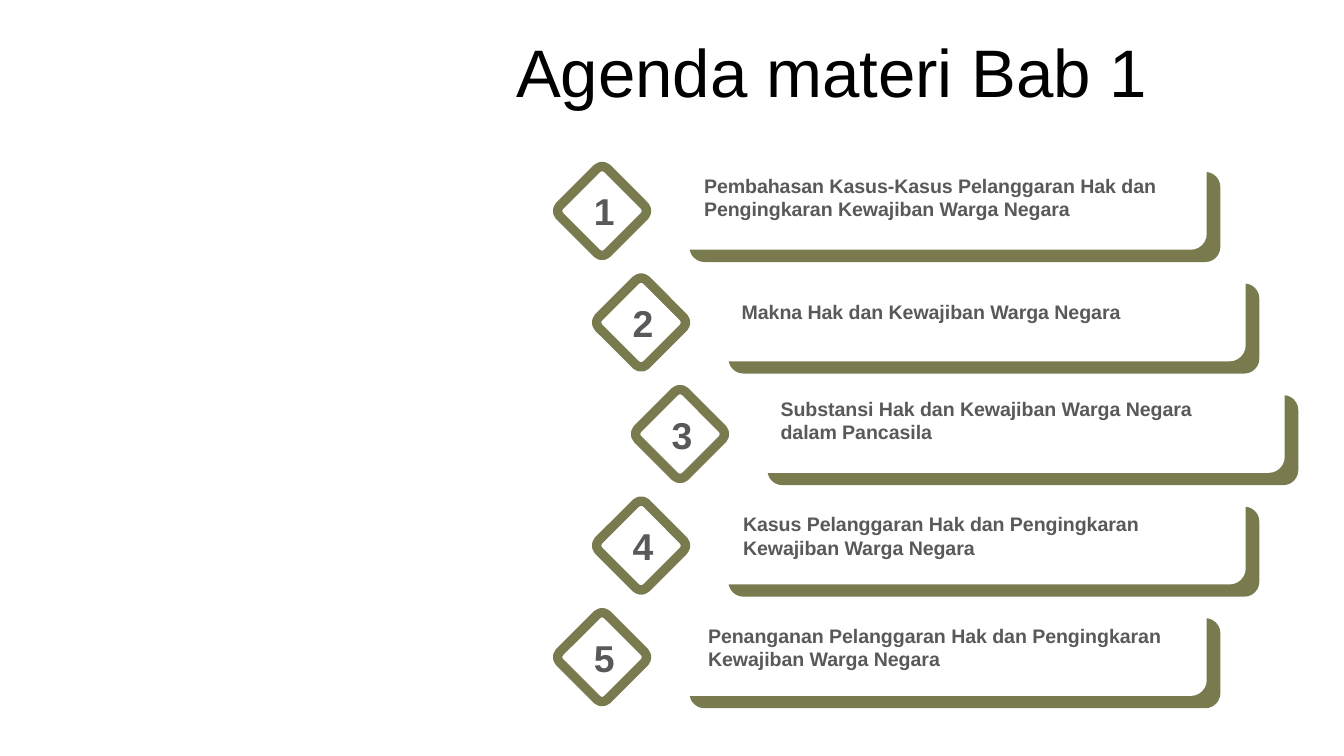
from pptx import Presentation
from pptx.dml.color import RGBColor
from pptx.enum.shapes import MSO_SHAPE
from pptx.enum.text import MSO_ANCHOR, PP_ALIGN
from pptx.util import Inches, Pt

OLIVE = RGBColor(0x79, 0x7B, 0x4F)
WHITE = RGBColor(0xFF, 0xFF, 0xFF)
GREY = RGBColor(0x59, 0x59, 0x59)
BLACK = RGBColor(0, 0, 0)

TITLE = "Agenda materi Bab 1"
# text, indent steps, label left, label top, label height
AGENDA = [
    ("Pembahasan Kasus-Kasus Pelanggaran Hak dan Pengingkaran Kewajiban Warga Negara",
     0, 5.14, 1.24, 0.45),
    ("Makna Hak dan Kewajiban Warga Negara", 1, 5.42, 2.18, 0.28),
    ("Substansi Hak dan Kewajiban Warga Negara dalam Pancasila", 2, 5.71, 2.9, 0.45),
    ("Kasus Pelanggaran Hak dan Pengingkaran Kewajiban Warga Negara", 1, 5.43, 3.76, 0.45),
    ("Penanganan Pelanggaran Hak dan Pengingkaran Kewajiban Warga Negara",
     0, 5.17, 4.59, 0.45),
]
LEFT, TOP = 4.23, 1.18
INDENT, PITCH = 0.29, 0.83
CARD_W, CARD_H = 3.95, 0.67


def add_box(shapes, x, y, w, h, fill, line=None, width=0):
    sp = shapes.add_shape(MSO_SHAPE.ROUNDED_RECTANGLE,
                          Inches(x), Inches(y), Inches(w), Inches(h))
    sp.shadow.inherit = False
    sp.fill.solid()
    sp.fill.fore_color.rgb = fill
    if line is None:
        sp.line.fill.background()
    else:
        sp.line.color.rgb = line
        sp.line.width = Pt(width)
    return sp


def write(sp, text, size, color, bold=False, align=PP_ALIGN.LEFT):
    tf = sp.text_frame
    tf.word_wrap = True
    tf.vertical_anchor = MSO_ANCHOR.MIDDLE
    p = tf.paragraphs[0]
    p.text = text
    p.alignment = align
    p.font.name = "Arial"
    p.font.size = Pt(size)
    p.font.bold = bold
    p.font.color.rgb = color


def add_label(shapes, x, y, w, h, text, size, align=PP_ALIGN.LEFT):
    sp = shapes.add_textbox(Inches(x), Inches(y), Inches(w), Inches(h))
    write(sp, text, size, GREY, True, align)


prs = Presentation()
prs.slide_width, prs.slide_height = Inches(10), Inches(10 * 9 / 16)
s = prs.slides.add_slide(prs.slide_layouts[5])

title = s.shapes.title
title.left, title.top = Inches(3.74), Inches(0.21)
title.width, title.height = Inches(6.26), Inches(0.63)
write(title, TITLE, 36, BLACK)

for i, (text, step, label_x, label_y, label_h) in enumerate(AGENDA):
    x, y = LEFT + step * INDENT, TOP + i * PITCH
    shapes = s.shapes.add_group_shape().shapes
    add_box(shapes, x + 0.9, y + 0.1, CARD_W, CARD_H, OLIVE)
    add_box(shapes, x + 0.79, y, CARD_W, CARD_H, WHITE, WHITE, 1.25)
    diamond = add_box(shapes, x, y + 0.14, 0.5, 0.5, WHITE, OLIVE, 5)
    diamond.adjustments[0] = 0.107
    diamond.rotation = 45
    add_label(shapes, x + 0.09, y + 0.17, 0.33, 0.44, str(i + 1), 20, PP_ALIGN.CENTER)
    add_label(shapes, label_x, label_y, 3.71, label_h, text, 10.5)

prs.save("out.pptx")
